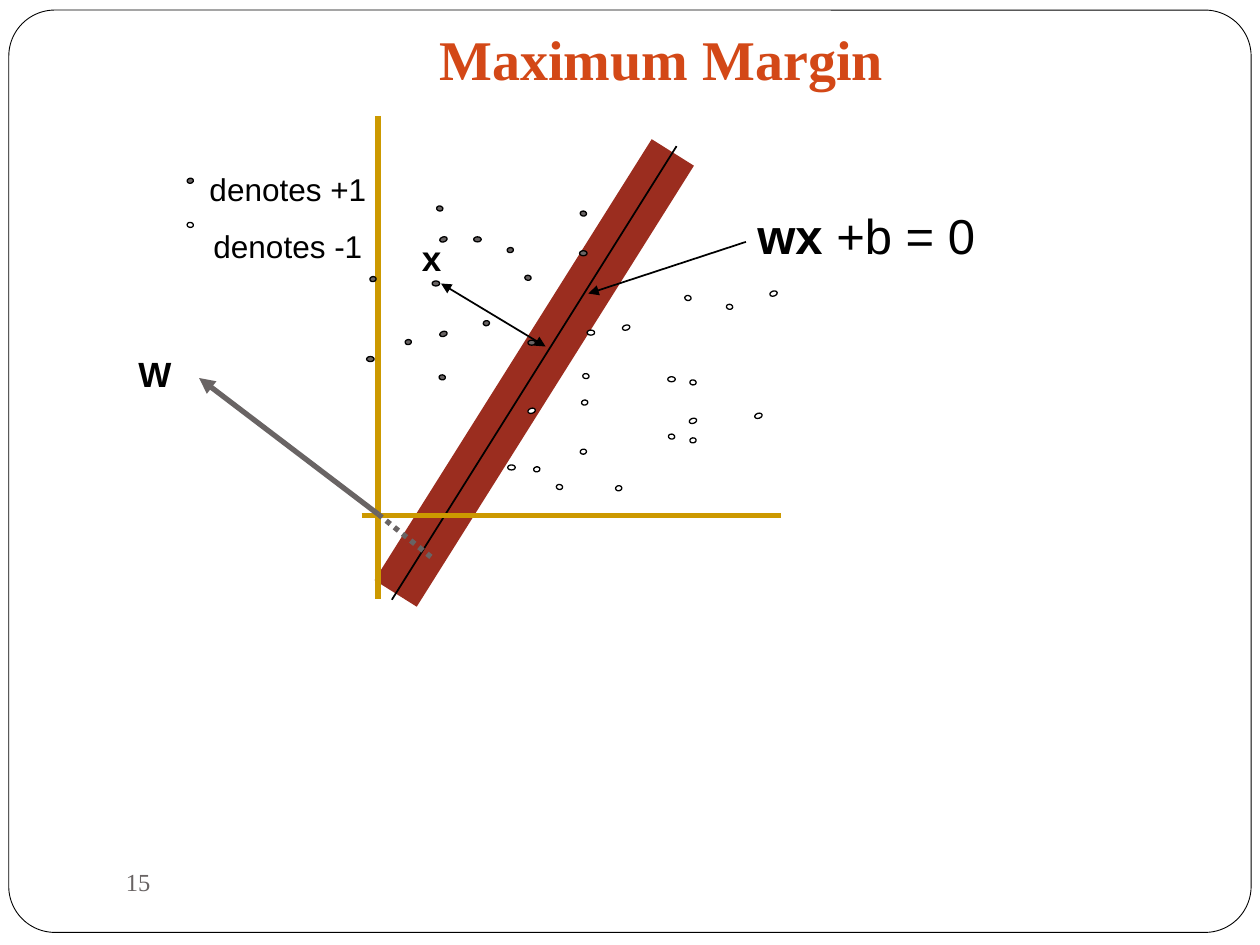
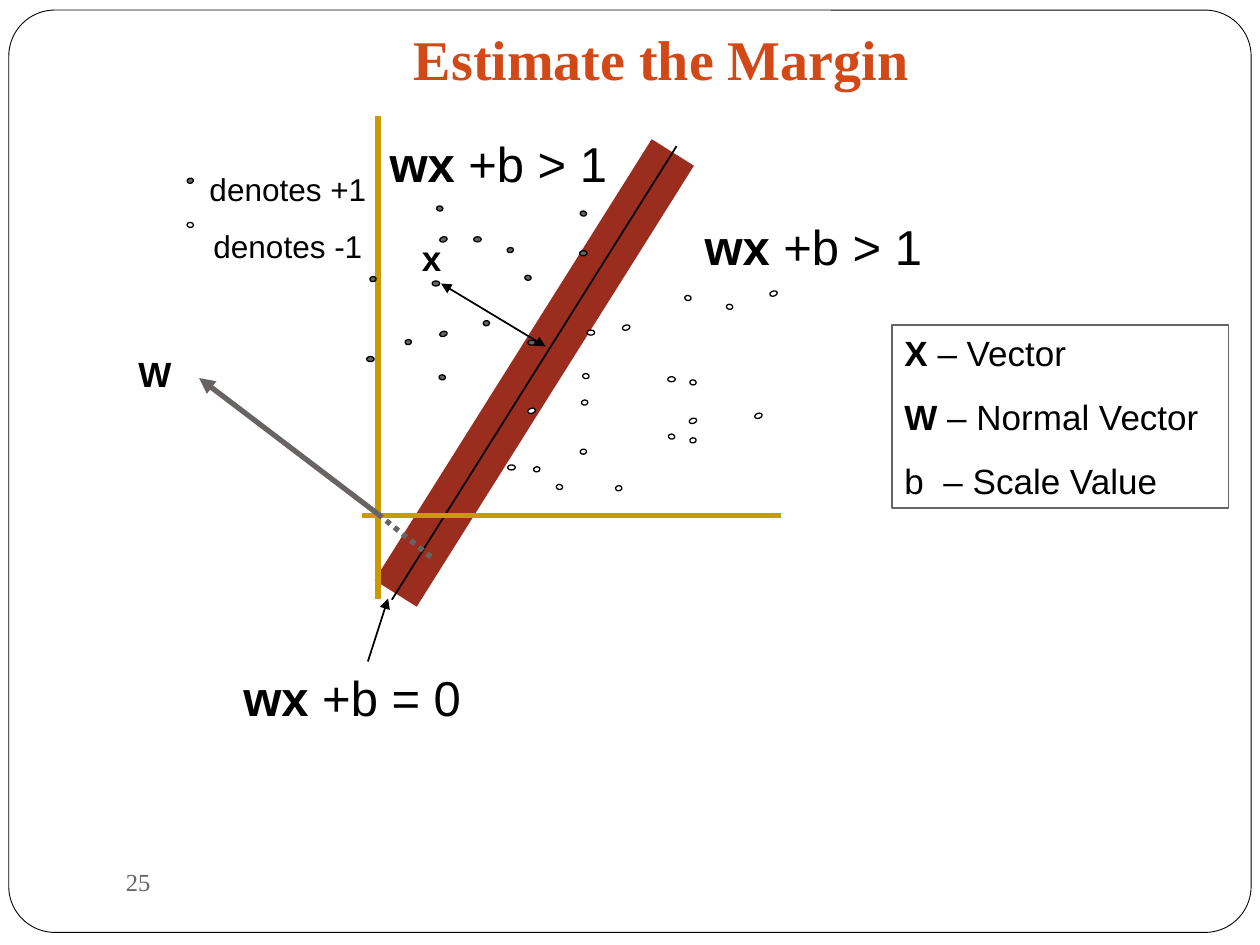
from lxml.etree import SubElement
from pptx import Presentation
from pptx.dml.color import RGBColor as Rgb
from pptx.enum.dml import MSO_LINE_DASH_STYLE as Dash
from pptx.enum.shapes import MSO_CONNECTOR as Connector, MSO_SHAPE as Shape
from pptx.enum.text import MSO_ANCHOR as Anchor, MSO_AUTO_SIZE as AutoSize, PP_ALIGN as Align
from pptx.oxml.ns import qn
from pptx.util import Emu, Inches, Pt

SLIDE_WIDTH, SLIDE_HEIGHT = Inches(10), Inches(7.5)
COLUMNS = 1000
CELL = SLIDE_WIDTH // COLUMNS
COLORS = {
    "paper": "FFFFFF", "ink": "000000", "gray": "696464",
    "title": "D34817", "band": "9B2D1F", "axis": "CC9900",
}
SANS, SERIF = "Arial", "Times New Roman"

DOT_SIZES = {0: (6, 4), 341.4: (6, 4), 98.2: (4, 5), 79.6: (4, 5)}
POSITIVE_DOTS = {
    0: [(291, 283), (460, 199), (376, 188), (419, 270), (343, 223)],
    341.4: [(349, 188), (349, 263)],
    98.2: [(417, 218), (349, 297), (461, 167), (347, 163)],
    79.6: [(149, 141), (384, 254), (322, 269), (403, 196), (294, 219)],
}
NEGATIVE_DOTS = {
    0: [(403, 369), (466, 262), (530, 299)],
    341.4: [(419, 324), (611, 231), (547, 332), (494, 258), (599, 328)],
    98.2: [(149, 176), (442, 384), (548, 301), (463, 296), (577, 241), (544, 234), (531, 344)],
    79.6: [(489, 385), (461, 356), (462, 317), (424, 370), (548, 347)],
}


def color(name):
    """Look up a palette colour."""
    return Rgb.from_string(COLORS[name])


def cells(*counts):
    """Turn grid cells into lengths."""
    return [Emu(count * CELL) for count in counts]


def write(frame, paragraphs, size=20, font=SANS, ink="ink", align=Align.LEFT,
          gap=0, insets=(10, 5, 10, 5), anchor=Anchor.TOP, fit=AutoSize.NONE, tab=None):
    """Fill a text frame with paragraphs, each a list of (text, bold) runs."""
    frame.word_wrap, frame.auto_size, frame.vertical_anchor = True, fit, anchor
    (frame.margin_left, frame.margin_top,
     frame.margin_right, frame.margin_bottom) = cells(*insets)
    for index, runs in enumerate(paragraphs):
        paragraph = frame.add_paragraph() if index else frame.paragraphs[0]
        if tab:
            stops = SubElement(paragraph._p.get_or_add_pPr(), qn("a:tabLst"))
            SubElement(stops, qn("a:tab"), pos=str(tab * CELL), algn="l")
        paragraph.alignment = align
        if index:
            paragraph.space_before = Pt(gap)
        for text, bold in runs:
            run = paragraph.add_run()
            run.text = text
            run.font.size, run.font.name, run.font.bold = Pt(size), font, bold
            run.font.color.rgb = color(ink)


def add_label(slide, box, paragraphs, border=None, **style):
    """Add a text box, with a thin border if one is named."""
    label = slide.shapes.add_textbox(*cells(*box))
    write(label.text_frame, paragraphs, **style)
    if border:
        label.line.color.rgb, label.line.width = color(border), Pt(1)


def add_shape(slide, kind, box, fill, weight):
    """Add a filled preset shape with a black outline."""
    shape = slide.shapes.add_shape(kind, *cells(*box))
    shape.shadow.inherit = False
    shape.fill.solid()
    shape.fill.fore_color.rgb = color(fill)
    shape.line.color.rgb, shape.line.width = color("ink"), Pt(weight)
    return shape


def add_line(slide, start, end, ink="ink", weight=1, dash=None, arrows=()):
    """Draw a straight line; arrows lists its headEnd and tailEnd."""
    line = slide.shapes.add_connector(Connector.STRAIGHT, *cells(*start, *end))
    line.line.color.rgb, line.line.width = color(ink), Pt(weight)
    if dash:
        line.line.dash_style = dash
    for arrow in arrows:
        SubElement(line.line._get_or_add_ln(), qn(f"a:{arrow}"), type="triangle")
    SubElement(line._element.spPr, qn("a:effectLst"))


def add_dots(slide, dots, fill):
    """Scatter one class of sample points."""
    for tilt, places in dots.items():
        for place in places:
            add_shape(slide, Shape.OVAL, place + DOT_SIZES[tilt], fill, 0.75).rotation = tilt


def add_equation(slide, left, top, relation):
    """Write the hyperplane expression with its relation."""
    add_label(slide, (left, top, 225, 57), [[("wx ", True), (relation, False)]],
              size=28, align=Align.CENTER, fit=AutoSize.SHAPE_TO_FIT_TEXT)


def add_margin_plot(slide):
    """Draw the axes, margin band, sample points and normal vector."""
    add_line(slide, (314, 471), (534, 121), "band", 28.5)
    add_line(slide, (311, 476), (537, 116))
    add_label(slide, (142, 130, 173, 86), [[("denotes +1", False)], [("denotes -1", False)]],
              size=18, align=Align.CENTER, gap=11.2)
    add_line(slide, (300, 92), (300, 475), "axis", 3)
    add_line(slide, (287, 409), (620, 409), "axis", 3)
    add_dots(slide, POSITIVE_DOTS, "gray")
    add_dots(slide, NEGATIVE_DOTS, "paper")
    add_line(slide, (350, 225), (433, 275), arrows=("headEnd", "tailEnd"))
    add_label(slide, (325, 183, 50, 44), [[("x", True)]])
    add_line(slide, (300, 408), (158, 300), "gray", 3, arrows=("tailEnd",))
    add_line(slide, (300, 408), (342, 442), "gray", 3, dash=Dash.ROUND_DOT)
    add_label(slide, (100, 275, 42, 44), [[("W", True)]])


def add_plot_slide(deck, title, number):
    """Start a slide with frame, title, page number and the margin plot."""
    slide = deck.slides.add_slide(deck.slide_layouts[5])
    frame = add_shape(slide, Shape.ROUNDED_RECTANGLE, (7, 8, 986, 732), "paper", 0.5)
    frame.adjustments[0] = 0.05
    slide.shapes._spTree.insert(2, frame._element)
    heading = slide.shapes.title
    heading.left, heading.top, heading.width, heading.height = cells(100, -42, 850, 125)
    write(heading.text_frame, [[(title, True)]], size=32, font=SERIF, ink="title",
          align=Align.CENTER, insets=(10, 5, 10, 10), anchor=Anchor.BOTTOM)
    add_label(slide, (100, 675, 433, 50), [[(number, False)]], size=14, font=SERIF,
              ink="gray", insets=(0, 0, 0, 0), anchor=Anchor.MIDDLE)
    add_margin_plot(slide)
    return slide


def main():
    """Build both slides and save the deck."""
    deck = Presentation()
    deck.slide_width, deck.slide_height = SLIDE_WIDTH, SLIDE_HEIGHT

    maximum = add_plot_slide(deck, "Maximum Margin", "15")
    add_equation(maximum, 575, 158, "+b = 0")
    add_line(maximum, (592, 192), (467, 233), arrows=("tailEnd",))

    estimate = add_plot_slide(deck, "Estimate the Margin", "25")
    add_equation(estimate, 167, 525, "+b = 0")
    add_line(estimate, (292, 525), (308, 475), arrows=("tailEnd",))
    add_label(estimate, (708, 258, 267, 145), [
        [("X", True), (" – Vector", False)],
        [("W", True), (" – Normal Vector", False)],
        [("b\t– Scale Value", False)],
    ], border="gray", gap=12.5, tab=31, fit=AutoSize.SHAPE_TO_FIT_TEXT)
    add_equation(estimate, 533, 167, "+b > 1")
    add_equation(estimate, 283, 101, "+b > 1")

    deck.save("out.pptx")


if __name__ == "__main__":
    main()
